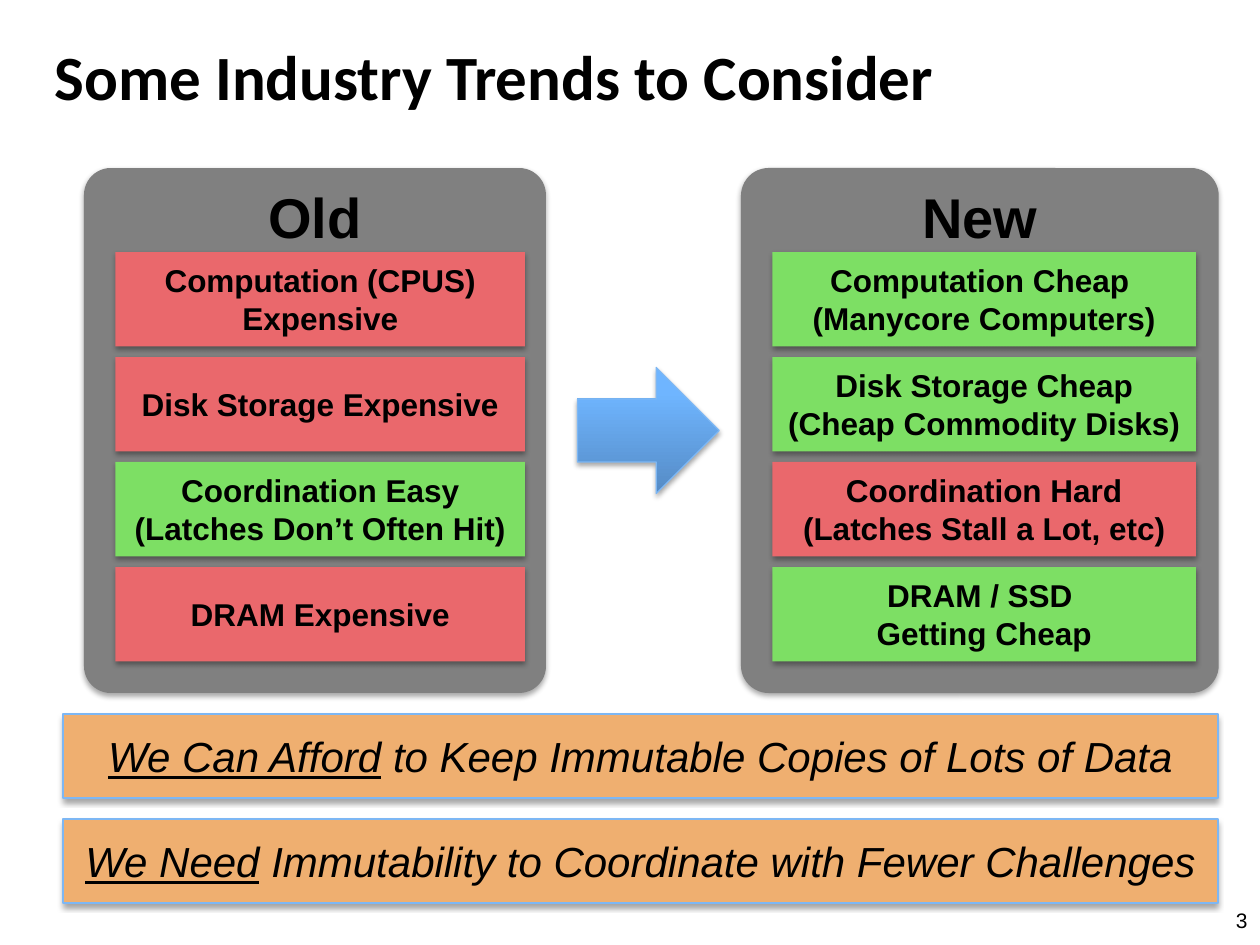
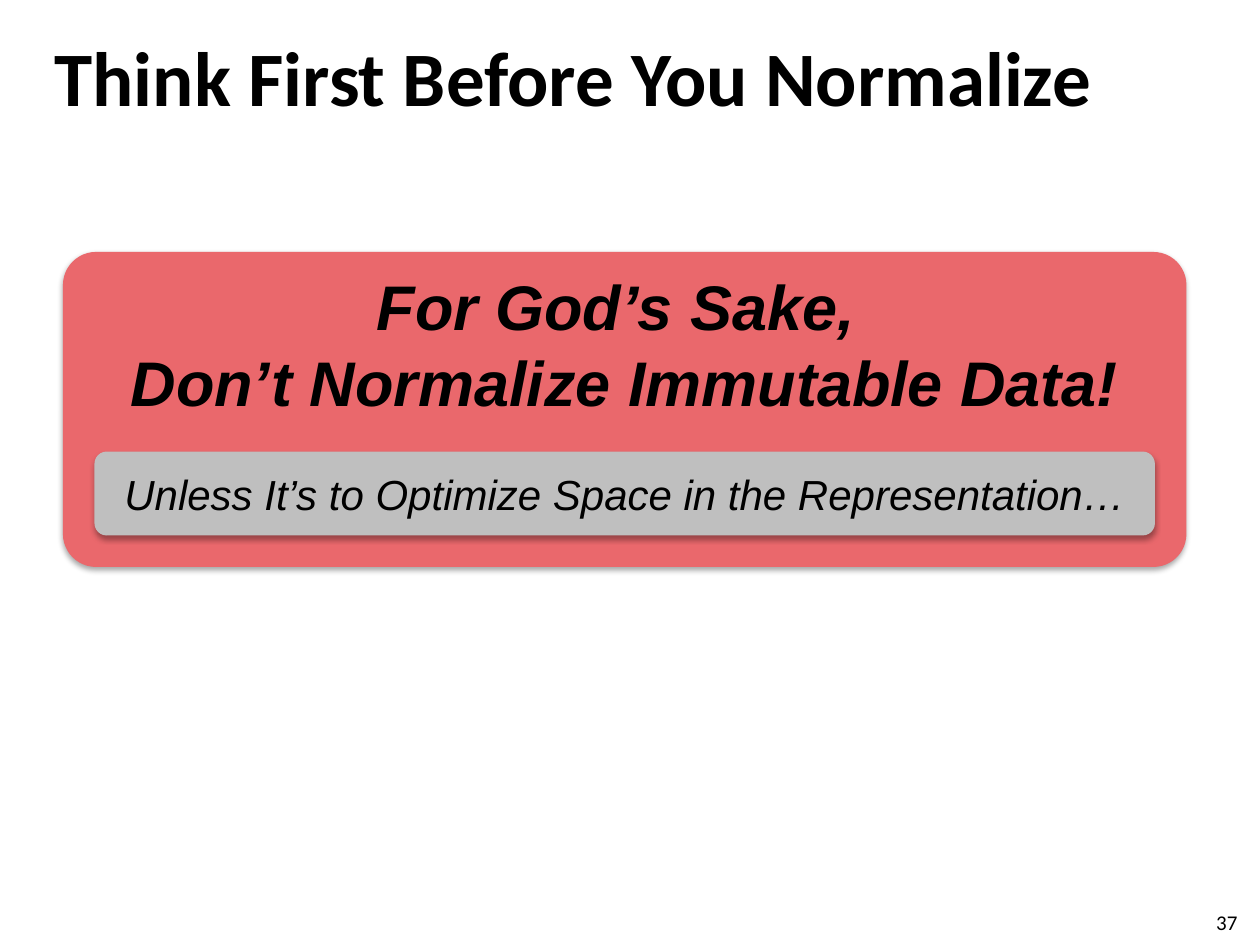
from dataclasses import dataclass
from typing import NamedTuple

from lxml.etree import SubElement
from pptx import Presentation
from pptx.dml.color import RGBColor
from pptx.enum.shapes import MSO_SHAPE
from pptx.enum.text import MSO_ANCHOR, PP_ALIGN
from pptx.oxml.ns import qn
from pptx.util import Pt

RECT = MSO_SHAPE.RECTANGLE
ROUND = MSO_SHAPE.ROUNDED_RECTANGLE
ARROW = MSO_SHAPE.RIGHT_ARROW
TOP, MIDDLE = MSO_ANCHOR.TOP, MSO_ANCHOR.MIDDLE
LEFT, CENTER, RIGHT = PP_ALIGN.LEFT, PP_ALIGN.CENTER, PP_ALIGN.RIGHT
TITLE_ONLY = 5


@dataclass(frozen=True)
class Theme:
    text: str = "000000"
    panel: str = "808080"
    note: str = "BFBFBF"
    bad: str = "EA686C"
    good: str = "7DDF64"
    banner: str = "EFAF70"
    outline: str = "7DB7F4"
    arrow_dark: str = "558BC5"
    arrow_light: str = "6FB5FF"
    title_font: str = "Calibri"
    body_font: str = "Arial"
    page: int = 12
    tile: int = 18
    lead: int = 24
    heading: int = 32
    shout: int = 36


T = Theme()


class Box(NamedTuple):
    x: float
    y: float
    w: float
    h: float


class Run(NamedTuple):
    text: str
    size: int
    bold: bool = False
    italic: bool = False
    underline: bool = False
    font: str = T.body_font


class Tile(NamedTuple):
    fill: str
    lines: tuple[str, ...]


class Panel(NamedTuple):
    heading: str
    x: float
    w: float
    tile_w: float
    tiles: tuple[Tile, ...]


class Banner(NamedTuple):
    stressed: str
    rest: str


TITLE_BOX = Box(24, 12, 648, 62.4)
ARROW_BOX = Box(330, 210, 81, 72)
PANEL_TOP, PANEL_H, PANEL_PAD = 96, 300, 18
TILE_TOP, TILE_H, TILE_STEP = 144, 54, 60
BANNER_TOP, BANNER_STEP = 408, 60

PANELS = (
    Panel("Old", 48, 264, 234, (
        Tile(T.bad, ("Computation (CPUS) Expensive",)),
        Tile(T.bad, ("Disk Storage Expensive",)),
        Tile(T.good, ("Coordination Easy", "(Latches Don’t Often Hit)")),
        Tile(T.bad, ("DRAM Expensive",)),
    )),
    Panel("New", 423.4, 273, 242, (
        Tile(T.good, ("Computation Cheap \n(Manycore Computers)",)),
        Tile(T.good, ("Disk Storage Cheap", "(Cheap Commodity Disks)")),
        Tile(T.bad, ("Coordination Hard", "(Latches Stall a Lot, etc)")),
        Tile(T.good, ("DRAM / SSD \nGetting Cheap",)),
    )),
)

BANNERS = (
    Banner("We Can Afford", " to Keep Immutable Copies of Lots of Data"),
    Banner("We Need", " Immutability to Coordinate with Fewer Challenges"),
)


def rgb(value: str) -> RGBColor:
    return RGBColor.from_string(value)


def place(sp, box: Box) -> None:
    sp.left, sp.top, sp.width, sp.height = (Pt(v) for v in box)


def write(sp, paragraphs, align=CENTER, anchor=MIDDLE) -> None:
    tf = sp.text_frame
    tf.word_wrap = True
    tf.vertical_anchor = anchor
    for i, runs in enumerate(paragraphs):
        p = tf.add_paragraph() if i else tf.paragraphs[0]
        p.alignment = align
        for run in runs:
            for j, line in enumerate(run.text.split("\n")):
                if j:
                    p.add_line_break()
                r = p.add_run()
                r.text = line
                r.font.name = run.font
                r.font.size = Pt(run.size)
                r.font.bold = run.bold
                r.font.italic = run.italic
                r.font.underline = run.underline
                r.font.color.rgb = rgb(T.text)


def add_shadow(sp) -> None:
    sp.shadow.inherit = False
    effects = sp._element.spPr.find(qn("a:effectLst"))
    shadow = SubElement(effects, qn("a:outerShdw"), blurRad=str(Pt(3.1)),
                        dist=str(Pt(1.8)), dir="5400000", rotWithShape="0")
    color = SubElement(shadow, qn("a:srgbClr"), val="000000")
    SubElement(color, qn("a:alpha"), val="35000")


def add_block(slide, kind, box: Box, fill: str | None = None,
              line: str | None = None, radius: float | None = None):
    sp = slide.shapes.add_shape(kind, *(Pt(v) for v in box))
    if fill:
        sp.fill.solid()
        sp.fill.fore_color.rgb = rgb(fill)
    if line:
        sp.line.color.rgb = rgb(line)
        sp.line.width = Pt(0.75)
    else:
        sp.line.fill.background()
    if radius:
        sp.adjustments[0] = radius
    add_shadow(sp)
    return sp


def add_slide(prs, title: str, size: int, page: Run, page_box: Box, page_anchor):
    slide = prs.slides.add_slide(prs.slide_layouts[TITLE_ONLY])
    sp = slide.shapes.title
    place(sp, TITLE_BOX)
    write(sp, [[Run(title, size, bold=True, font=T.title_font)]], LEFT)
    number = slide.shapes.add_textbox(*(Pt(v) for v in page_box))
    write(number, [[page]], RIGHT, page_anchor)
    return slide


def add_panel(slide, panel: Panel) -> None:
    box = Box(panel.x, PANEL_TOP, panel.w, PANEL_H)
    sp = add_block(slide, ROUND, box, T.panel, radius=0.058)
    write(sp, [[Run(panel.heading, T.heading, bold=True)]], anchor=TOP)
    for i, tile in enumerate(panel.tiles):
        box = Box(panel.x + PANEL_PAD, TILE_TOP + i * TILE_STEP, panel.tile_w, TILE_H)
        sp = add_block(slide, RECT, box, tile.fill)
        write(sp, [[Run(line, T.tile, bold=True)] for line in tile.lines])


def add_arrow(slide) -> None:
    sp = add_block(slide, ARROW, ARROW_BOX, line=T.outline)
    sp.fill.gradient()
    sp.fill.gradient_angle = 90
    dark, light = sp.fill.gradient_stops
    dark.position, light.position = 0, 0.8
    dark.color.rgb, light.color.rgb = rgb(T.arrow_dark), rgb(T.arrow_light)


def build_trends(prs) -> None:
    slide = add_slide(prs, "Some Industry Trends to Consider", 36,
                      Run("3", T.page), Box(635.8, 511.2, 84.2, 28.8), MIDDLE)
    for panel in PANELS:
        add_panel(slide, panel)
    add_arrow(slide)
    for i, banner in enumerate(BANNERS):
        box = Box(36, BANNER_TOP + i * BANNER_STEP, 660, 48)
        sp = add_block(slide, RECT, box, T.banner, T.outline)
        write(sp, [[Run(banner.stressed, T.lead, italic=True, underline=True),
                    Run(banner.rest, T.lead, italic=True)]])


def build_normalize(prs) -> None:
    slide = add_slide(prs, "Think First Before You Normalize", 44,
                      Run("37", T.page, font=T.title_font),
                      Box(630, 516, 84.2, 23), TOP)
    warning = add_block(slide, ROUND, Box(36, 144, 642, 180), T.bad, radius=0.105)
    write(warning, [[Run("For God’s Sake, \nDon’t Normalize Immutable Data!",
                         T.shout, bold=True, italic=True)]], anchor=TOP)
    caveat = add_block(slide, ROUND, Box(54, 258, 606, 48), T.note, radius=0.146)
    write(caveat, [[Run("Unless It’s to Optimize Space in the Representation…",
                        T.lead, italic=True)]])


def main() -> None:
    prs = Presentation()
    prs.slide_width, prs.slide_height = Pt(720), Pt(540)
    build_trends(prs)
    build_normalize(prs)
    prs.save("out.pptx")


if __name__ == "__main__":
    main()
